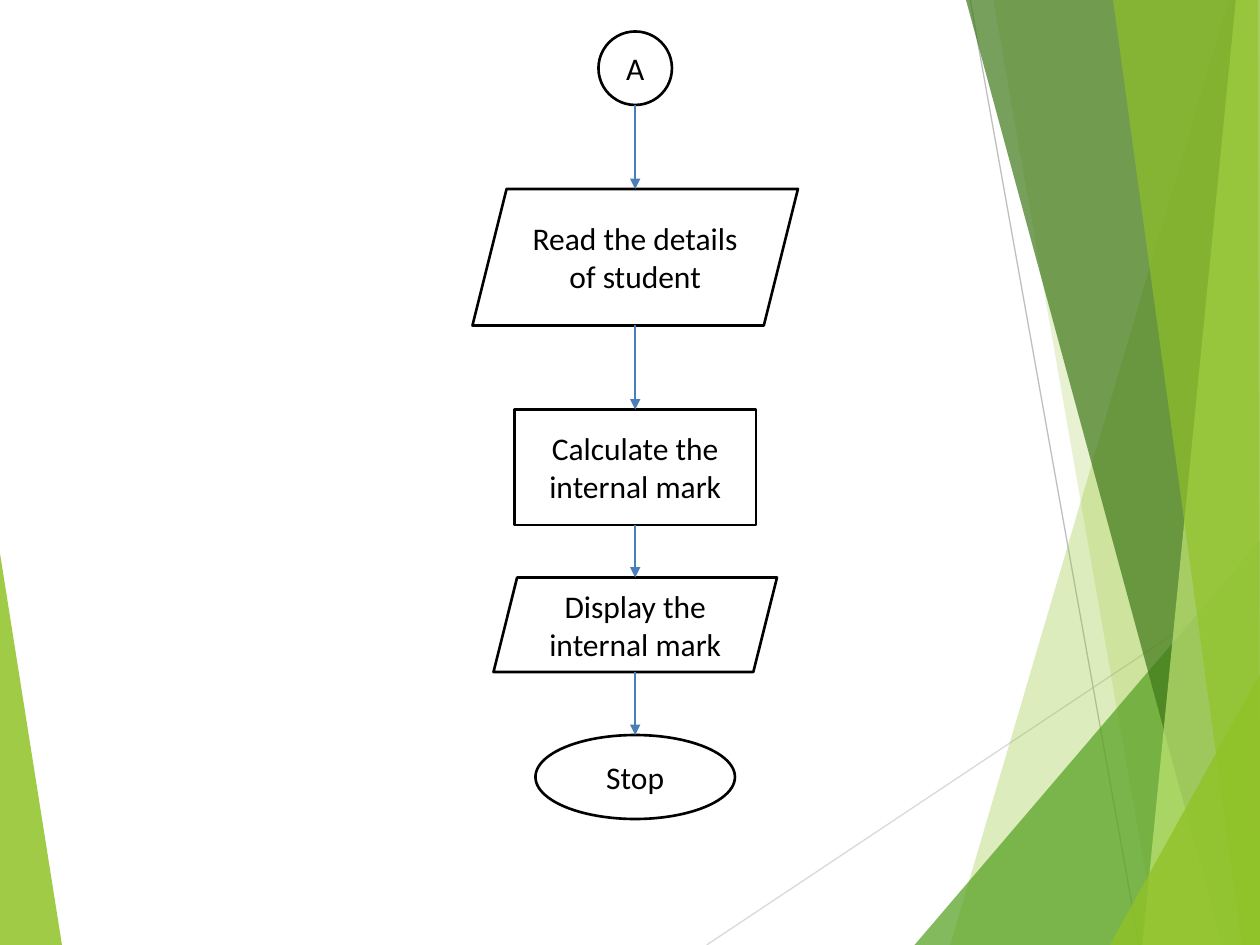
from itertools import pairwise

from pptx import Presentation, util as u
from pptx.dml.color import RGBColor
from pptx.enum import shapes as sh, text as tx
from pptx.oxml import parse_xml
from pptx.oxml.ns import nsdecls, qn

PX = 7620  # EMU, 120 px to the inch
WIDE, HIGH = 1200, 900
MID = 605  # centre line of the flow

BLACK = RGBColor(0x00, 0x00, 0x00)
WHITE = RGBColor(0xFF, 0xFF, 0xFF)
BLUE = RGBColor(0x4A, 0x7E, 0xBB)
PALE = RGBColor(0xD9, 0xD9, 0xD9)
GREY = RGBColor(0xBF, 0xBF, 0xBF)
LIME = RGBColor(0x90, 0xC2, 0x26)
GREEN = RGBColor(0x54, 0xA0, 0x21)
DARK = RGBColor(0x3F, 0x78, 0x19)
LIGHT = RGBColor(0xC0, 0xE4, 0x74)

prs = Presentation()
prs.slide_width, prs.slide_height = WIDE * PX, HIGH * PX
slide = prs.slides.add_slide(prs.slide_layouts[6])
items = slide.shapes


def facet(points, color, alpha):
    """Draw a see-through polygon; alpha is its opacity in percent."""
    form = items.build_freeform(*points[0], scale=PX)
    form.add_line_segments(points[1:], close=True)
    shape = form.convert_to_shape()
    shape.shadow.inherit = False
    shape.line.fill.background()
    shape.fill.solid()
    shape.fill.fore_color.rgb = color
    tint = shape.fill._xPr.find(qn("a:solidFill"))[0]
    tint.append(parse_xml(f'<a:alpha {nsdecls("a")} val="{alpha * 1000}"/>'))


def rule(x1, y1, x2, y2, color, width):
    """Draw a straight line without a shadow."""
    line = items.add_connector(
        sh.MSO_CONNECTOR.STRAIGHT, x1 * PX, y1 * PX, x2 * PX, y2 * PX)
    line.line.color.rgb = color
    line.line.width = u.Pt(width)
    line._element.spPr.append(parse_xml(f'<a:effectLst {nsdecls("a")}/>'))
    return line


# Backdrop: left wedge, thin lines, right facets
facet([(0, 527), (59, HIGH), (0, HIGH)], LIME, 85)
rule(673, HIGH, WIDE, 549, PALE, 0.75)
rule(924, 0, 1085, HIGH, GREY, 0.75)

corner = (WIDE, HIGH)
facets = [
    ([(1170, 0), (905, HIGH), corner, (WIDE, 0)], LIME, 30),
    ([(946, 0), (1103, HIGH), corner, (WIDE, 0)], LIME, 20),
    ([(871, HIGH), (WIDE, 515), corner], GREEN, 72),
    ([(920, 0), (1164, HIGH), corner, (WIDE, 0)], DARK, 70),
    ([(1177, 0), (1088, HIGH), corner, (WIDE, 0)], LIGHT, 70),
    ([(1060, 0), (1183, HIGH), corner, (1198, 0)], LIME, 65),
    ([(1057, HIGH), (WIDE, 642), corner], LIME, 80),
]
for points, color, alpha in facets:
    facet(points, color, alpha)

# Flow steps: kind, top, width, height, label
OVAL = sh.MSO_SHAPE.OVAL
SLANT = sh.MSO_SHAPE.PARALLELOGRAM
BOX = sh.MSO_SHAPE.RECTANGLE
steps = [
    (OVAL, 30, 70, 70, "A"),
    (SLANT, 180, 310, 130, "Read the details of student"),
    (BOX, 390, 230, 110, "Calculate the internal mark"),
    (SLANT, 550, 270, 90, "Display the internal mark"),
    (OVAL, 700, 190, 80, "Stop"),
]
for kind, top, wide, high, label in steps:
    step = items.add_shape(
        kind, (MID - wide // 2) * PX, top * PX, wide * PX, high * PX)
    step.shadow.inherit = False
    step.fill.solid()
    step.fill.fore_color.rgb = WHITE
    step.line.color.rgb = BLACK
    step.line.width = u.Pt(1.5)
    frame = step.text_frame
    frame.word_wrap = True
    frame.vertical_anchor = tx.MSO_ANCHOR.MIDDLE
    para = frame.paragraphs[0]
    para.alignment = tx.PP_ALIGN.CENTER
    run = para.add_run()
    run.text = label
    run.font.name = "Calibri"
    run.font.size = u.Pt(18)
    run.font.color.rgb = BLACK

# Arrows from each step down to the next
for (_, top, _, high, _), (_, below, *_) in pairwise(steps):
    arrow = rule(MID, top + high, MID, below, BLUE, 1)
    arrow.line._get_or_add_ln().append(
        parse_xml(f'<a:tailEnd {nsdecls("a")} type="triangle"/>'))

prs.save("out.pptx")
